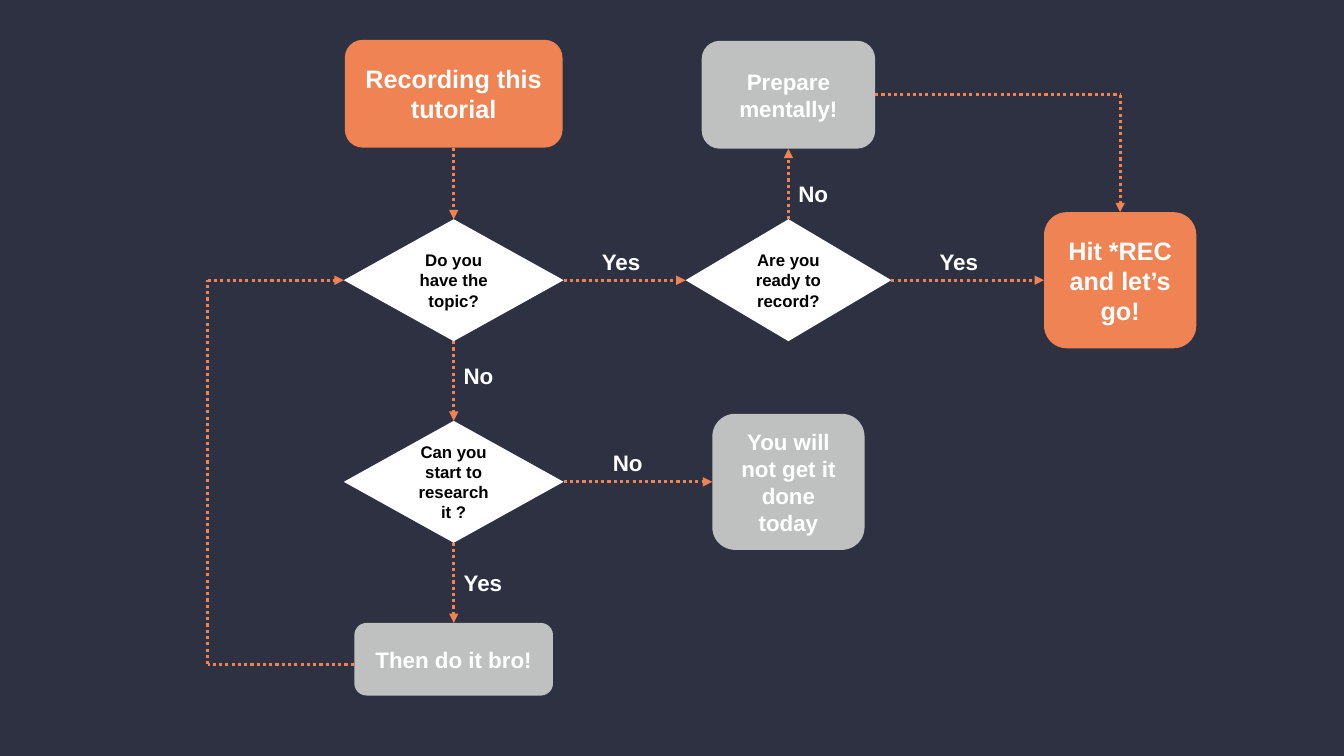
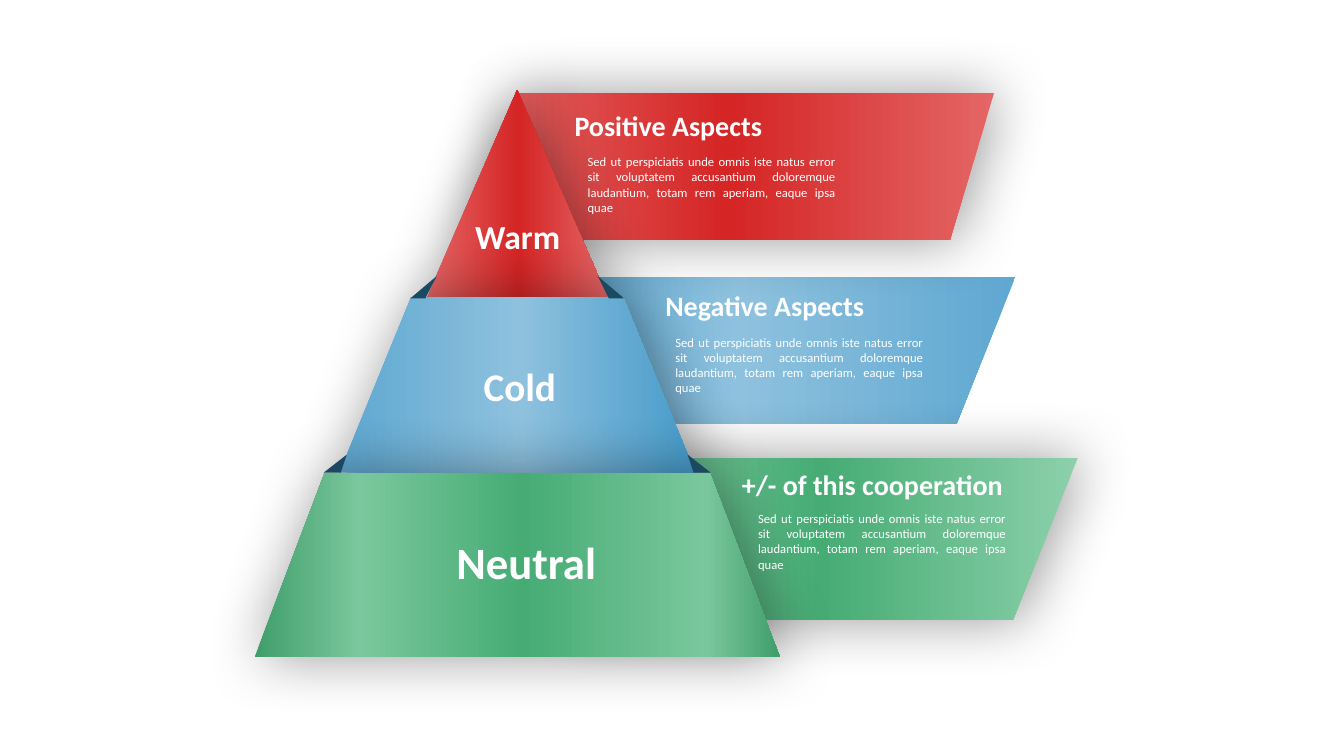
from lxml import etree
from pptx import Presentation
from pptx.dml.color import RGBColor
from pptx.enum.dml import MSO_LINE
from pptx.enum.shapes import MSO_CONNECTOR, MSO_SHAPE
from pptx.enum.text import MSO_ANCHOR, MSO_AUTO_SIZE, PP_ALIGN
from pptx.oxml.ns import qn
from pptx.util import Inches, Pt

ROUNDED = MSO_SHAPE.ROUNDED_RECTANGLE
DIAMOND = MSO_SHAPE.DIAMOND
TRAPEZOID = MSO_SHAPE.TRAPEZOID
PARALLELOGRAM = MSO_SHAPE.PARALLELOGRAM
STRAIGHT = MSO_CONNECTOR.STRAIGHT
ROUND_DOT = MSO_LINE.ROUND_DOT
MIDDLE = MSO_ANCHOR.MIDDLE
GROW = MSO_AUTO_SIZE.SHAPE_TO_FIT_TEXT
LEFT_ALIGN, CENTER, JUSTIFY = PP_ALIGN.LEFT, PP_ALIGN.CENTER, PP_ALIGN.JUSTIFY
TOP, LEFT, BOTTOM, RIGHT = range(4)

NAVY = RGBColor(0x2D, 0x31, 0x42)
ORANGE = RGBColor(0xEF, 0x83, 0x54)
GRAY = RGBColor(0xBF, 0xC0, 0xC0)
WHITE = RGBColor(0xFF, 0xFF, 0xFF)
BLACK = RGBColor(0x00, 0x00, 0x00)
FOLD_BLUE = RGBColor(0x1C, 0x49, 0x62)
RED = RGBColor(0xD5, 0x25, 0x25)
LIGHT_RED = RGBColor(0xE4, 0x66, 0x66)
SKY = RGBColor(0x5F, 0xA8, 0xD1)
LIGHT_SKY = RGBColor(0x8E, 0xC1, 0xDE)
DEEP_SKY = RGBColor(0x46, 0x9B, 0xCA)
GREEN = RGBColor(0x46, 0xAC, 0x74)
LIGHT_GREEN = RGBColor(0x8C, 0xD0, 0xAB)
MINT = RGBColor(0x7A, 0xC7, 0x9D)
DEEP_GREEN = RGBColor(0x40, 0x9E, 0x6B)

RED_GRADIENT = [(0, LIGHT_RED), (51, RED), (100, LIGHT_RED)]
BLUE_GRADIENT = [(0, SKY), (51, LIGHT_SKY), (100, DEEP_SKY)]
GREEN_GRADIENT = [(0, LIGHT_GREEN), (51, GREEN), (100, LIGHT_GREEN)]
GREEN_TIER_GRADIENT = [(0, DEEP_GREEN), (20, MINT), (51, GREEN), (86, MINT), (100, DEEP_GREEN)]

PYRAMID_AXIS = 5.13
DESCRIPTION = ("Sed ut perspiciatis unde omnis iste natus error sit voluptatem accusantium "
               "doloremque laudantium, totam rem aperiam, eaque ipsa quae")


class Deck:
    """Holds the presentation, the current slide and its font."""

    def __init__(self):
        self.presentation = Presentation()
        self.presentation.slide_width = Inches(13.33)
        self.presentation.slide_height = Inches(7.5)

    def new_slide(self, background, font_name):
        self.slide = self.presentation.slides.add_slide(self.presentation.slide_layouts[6])
        self.slide.background.fill.solid()
        self.slide.background.fill.fore_color.rgb = background
        self.font_name = font_name

    def set_text(self, frame, text, size, color, align, bold=True):
        frame.word_wrap = True
        paragraph = frame.paragraphs[0]
        paragraph.text = text
        paragraph.alignment = align
        font = paragraph.font
        font.name, font.size, font.bold = self.font_name, Pt(size), bold
        font.color.rgb = color

    def text(self, left, top, width, height, text, size, align=LEFT_ALIGN, bold=True):
        box = self.slide.shapes.add_textbox(
            Inches(left), Inches(top), Inches(width), Inches(height))
        self.set_text(box.text_frame, text, size, WHITE, align, bold)
        box.text_frame.auto_size = GROW

    def shape(self, kind, left, top, width, height):
        shape = self.slide.shapes.add_shape(
            kind, Inches(left), Inches(top), Inches(width), Inches(height))
        shape.shadow.inherit = False
        shape.line.fill.background()
        return shape

    def node(self, kind, center_x, center_y, width, height, fill, text, size, color=WHITE):
        """Add a flowchart step around its centre."""
        shape = self.shape(kind, center_x - width / 2, center_y - height / 2, width, height)
        shape.fill.solid()
        shape.fill.fore_color.rgb = fill
        shape.text_frame.vertical_anchor = MIDDLE
        self.set_text(shape.text_frame, text, size, color, CENTER)
        return shape

    def question(self, center_x, center_y, width, text):
        return self.node(DIAMOND, center_x, center_y, width, 1.21, WHITE, text, 12, BLACK)

    def route(self, *stops):
        """Draw dotted lines through stops, either (x, y) or (shape, side), arrow at the end."""
        for begin, end in zip(stops, stops[1:]):
            begin_joined, end_joined = (hasattr(stop[0], "shape_id") for stop in (begin, end))
            begin_point = (0, 0) if begin_joined else begin
            end_point = (0, 0) if end_joined else end
            connector = self.slide.shapes.add_connector(
                STRAIGHT, *(Inches(value) for value in (*begin_point, *end_point)))
            if begin_joined:
                connector.begin_connect(*begin)
            if end_joined:
                connector.end_connect(*end)
            connector.line.color.rgb = ORANGE
            connector.line.width = Pt(2.25)
            connector.line.dash_style = ROUND_DOT
            properties = connector._element.spPr
            if end is stops[-1]:
                etree.SubElement(properties.find(qn("a:ln")), qn("a:tailEnd"), type="triangle")
            etree.SubElement(properties, qn("a:effectLst"))

    def gradient_shape(self, kind, left, top, width, height, slant, stops, shadow=True):
        shape = self.shape(kind, left, top, width, height)
        shape.adjustments[0] = slant
        shape.fill.gradient()
        shape.fill.gradient_angle = 0
        properties = shape._element.spPr
        stop_list = properties.find(qn("a:gradFill")).find(qn("a:gsLst"))
        for old_stop in list(stop_list):
            stop_list.remove(old_stop)
        for position, color in stops:
            stop = etree.SubElement(stop_list, qn("a:gs"), pos=str(position * 1000))
            etree.SubElement(stop, qn("a:srgbClr"), val=str(color))
        if shadow:
            outer = etree.SubElement(
                properties.find(qn("a:effectLst")), qn("a:outerShdw"),
                blurRad=str(Pt(43)), dist=str(Pt(3)), dir="0", algn="ctr", rotWithShape="0")
            color = etree.SubElement(outer, qn("a:srgbClr"), val=str(BLACK))
            etree.SubElement(color, qn("a:alpha"), val="40000")
        return shape

    def triangle(self, points):
        first, *others = [(Inches(x), Inches(y)) for x, y in points]
        builder = self.slide.shapes.build_freeform(*first)
        builder.add_line_segments(others, close=True)
        shape = builder.convert_to_shape()
        shape.shadow.inherit = False
        shape.fill.solid()
        shape.fill.fore_color.rgb = FOLD_BLUE
        shape.line.fill.background()


def flowchart_slide(deck):
    deck.new_slide(NAVY, "Arial")
    left_column, middle_column, right_column = 4.5, 7.82, 11.11
    top_row, topic_row, research_row = 0.94, 2.78, 4.78
    loop_x, loop_y = 2.06, 6.59

    start = deck.node(ROUNDED, left_column, 0.93, 2.16, 1.07, ORANGE,
                      "Recording this tutorial", 18)
    topic = deck.question(left_column, topic_row, 2.18, "Do you have the topic?")
    research = deck.question(left_column, research_row, 2.18, "Can you start to research it ?")
    do_it = deck.node(ROUNDED, left_column, 6.54, 1.97, 0.72, GRAY, "Then do it bro!", 16)
    ready = deck.question(middle_column, topic_row, 2.04, "Are you ready to record?")
    prepare = deck.node(ROUNDED, middle_column, top_row, 1.72, 1.07, GRAY,
                        "Prepare mentally!", 16)
    not_today = deck.node(ROUNDED, middle_column, research_row, 1.51, 1.35, GRAY,
                          "You will not get it done today", 16)
    record = deck.node(ROUNDED, right_column, topic_row, 1.51, 1.35, ORANGE,
                       "Hit *REC and let’s go!", 18)

    deck.route((start, BOTTOM), (topic, TOP))
    deck.route((topic, BOTTOM), (research, TOP))
    deck.route((research, BOTTOM), (do_it, TOP))
    deck.route((topic, RIGHT), (ready, LEFT))
    deck.route((research, RIGHT), (not_today, LEFT))
    deck.route((ready, RIGHT), (record, LEFT))
    deck.route((ready, TOP), (prepare, BOTTOM))
    deck.route((prepare, RIGHT), (right_column, top_row), (record, TOP))
    deck.route((3.51, loop_y), (loop_x, loop_y), (loop_x, topic_row), (topic, LEFT))

    for left, top, answer in [(5.87, 2.41, "Yes"), (9.22, 2.41, "Yes"), (4.5, 5.6, "Yes"),
                              (4.5, 3.54, "No"), (5.98, 4.41, "No"), (7.82, 1.74, "No")]:
        deck.text(left, top, 0.62, 0.37, answer, 16)


def pyramid_slide(deck):
    deck.new_slide(WHITE, "Calibri")
    for left, top, width, height, slant, stops, shadow in [
            (4.67, 2.75, 5.4, 1.46, 0.4, BLUE_GRADIENT, False),
            (4.7, 0.92, 5.16, 1.46, 0.3, RED_GRADIENT, True),
            (5.7, 4.54, 4.99, 1.61, 0.4, GREEN_GRADIENT, True)]:
        banner = deck.gradient_shape(
            PARALLELOGRAM, left, top, width, height, slant, stops, shadow)
        banner.rotation = 180

    for top, width, height, slant, stops in [
            (0.89, 1.81, 2.08, 0.5, RED_GRADIENT),
            (2.95, 3.53, 1.74, 0.41, BLUE_GRADIENT),
            (4.69, 5.21, 1.83, 0.38, GREEN_TIER_GRADIENT)]:
        deck.gradient_shape(
            TRAPEZOID, PYRAMID_AXIS - width / 2, top, width, height, slant, stops)

    for fold in [[(6.04, 2.96), (5.93, 2.74), (6.19, 2.96)],
                 [(6.88, 4.69), (6.82, 4.51), (7.05, 4.69)]]:
        deck.triangle(fold)
        deck.triangle([(2 * PYRAMID_AXIS - x, y) for x, y in fold])

    for left, top, width, height, name, size in [
            (4.38, 2.09, 1.51, 0.5, "Warm", 24),
            (4.4, 3.55, 1.51, 0.57, "Cold", 28),
            (4.04, 5.26, 2.36, 0.64, "Neutral", 32)]:
        deck.text(left, top, width, height, name, size, CENTER)

    for heading, left, top, body_left, body_top in [
            ("Positive Aspects", 5.6, 1.03, 5.73, 1.48),
            ("Negative Aspects", 6.5, 2.81, 6.6, 3.27),
            ("+/- of this cooperation", 7.26, 4.59, 7.42, 5.02)]:
        deck.text(left, top, 3.36, 0.44, heading, 20)
        deck.text(body_left, body_top, 2.65, 0.71, DESCRIPTION, 9, JUSTIFY, bold=False)


def main():
    deck = Deck()
    flowchart_slide(deck)
    pyramid_slide(deck)
    deck.presentation.save("out.pptx")


if __name__ == "__main__":
    main()
